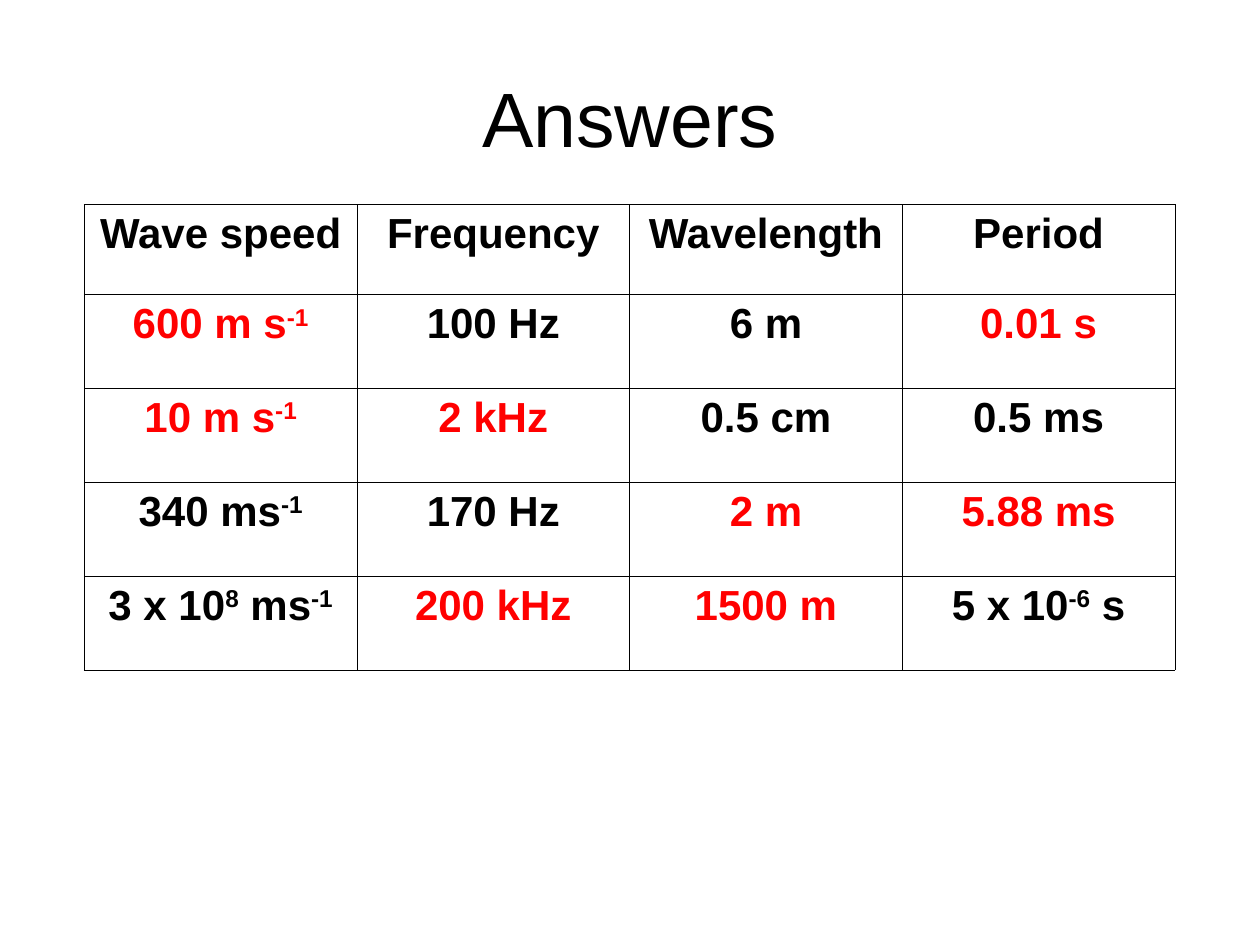
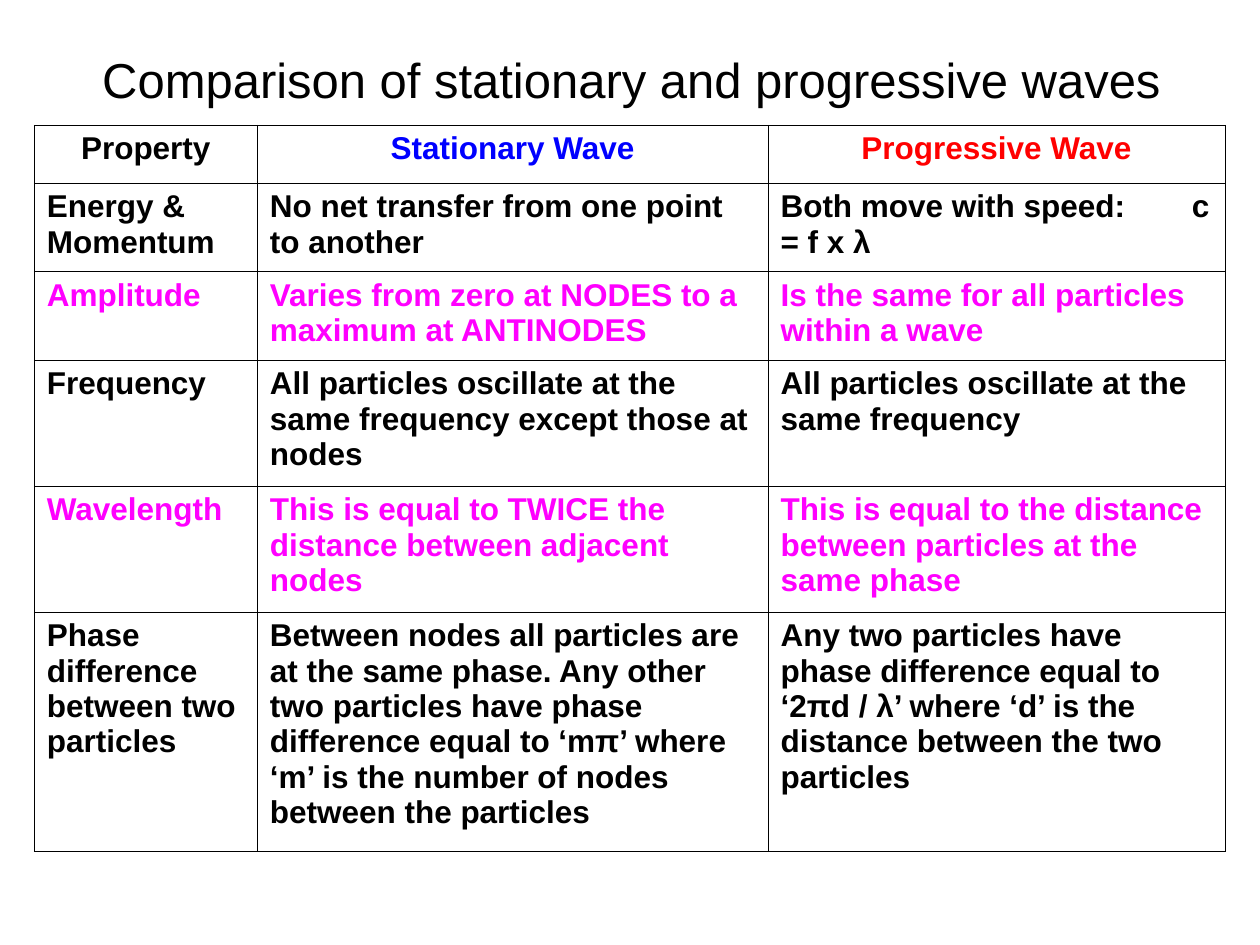
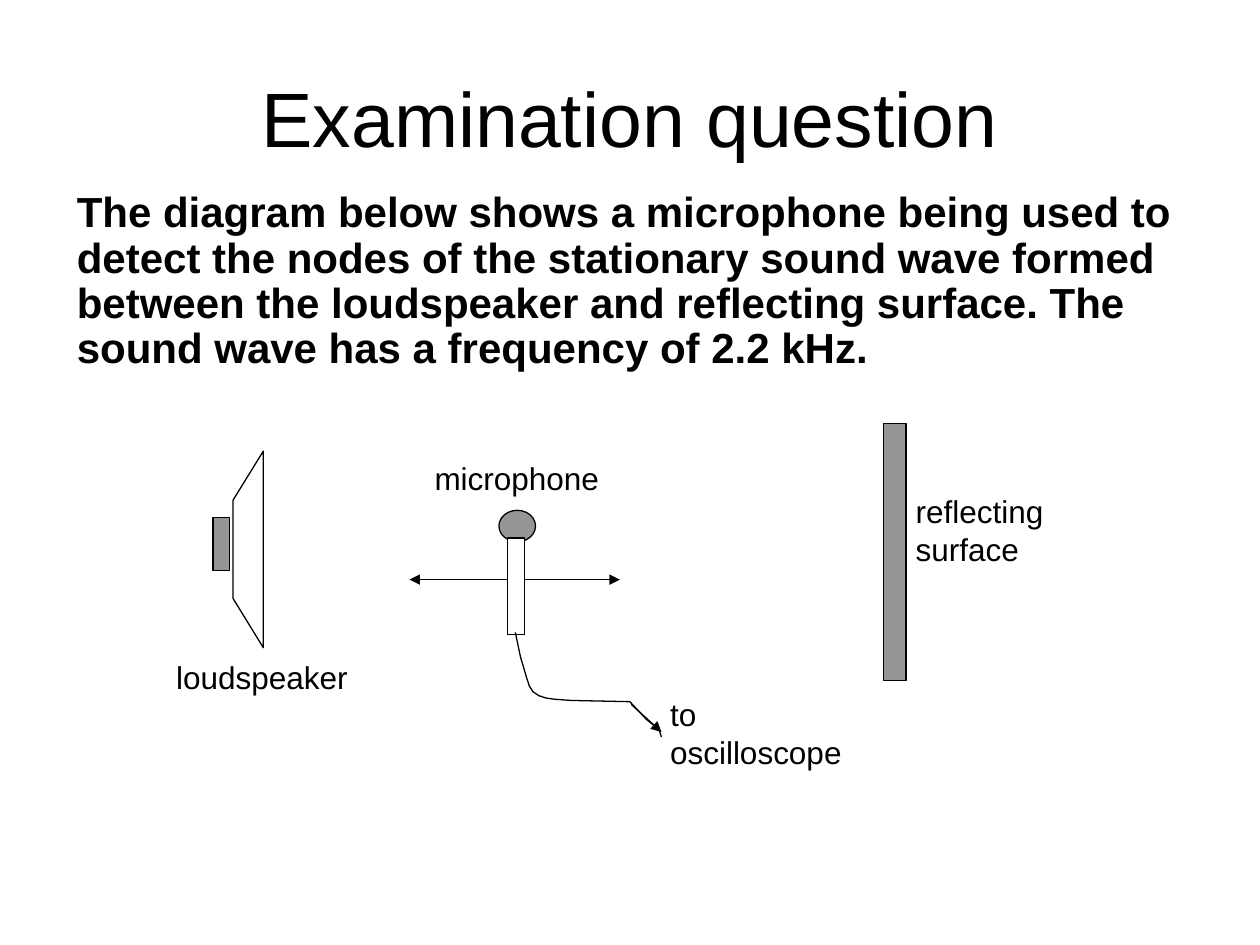
from dataclasses import dataclass
from typing import Any

from lxml.etree import SubElement
from pptx import Presentation
from pptx.dml.color import RGBColor
from pptx.enum.shapes import MSO_CONNECTOR as LINE, MSO_SHAPE as SHAPE
from pptx.enum.text import MSO_ANCHOR as ANCHOR, MSO_AUTO_SIZE as FIT, PP_ALIGN as ALIGN
from pptx.oxml.ns import qn
from pptx.util import Pt

HUES = {
    "ink": "000000", "paper": "FFFFFF", "grey": "969696",
    "red": "FF0000", "blue": "0000FF", "pink": "FF00FF",
}
FONT = "Arial"
TITLE = (36, 21.6, 648, 90)
THIN = 0.75

SUMS = [
    ["Wave speed", "Frequency", "Wavelength", "Period"],
    ["600 m s^-1", "100 Hz", "6 m", "0.01 s"],
    ["10 m s^-1", "2 kHz", "0.5 cm", "0.5 ms"],
    ["340 ms^-1", "170 Hz", "2 m", "5.88 ms"],
    ["3 x 10^8^ ms^-1", "200 kHz", "1500 m", "5 x 10^-6^ s"],
]
SOLVED = {(1, 0), (1, 3), (2, 0), (2, 1), (3, 2), (3, 3), (4, 1), (4, 2)}

WAVES = [
    ["Property", "Stationary Wave", "Progressive Wave"],
    ["Energy & Momentum", "No net transfer from one point to another",
     "Both move with speed:\tc = f x λ"],
    ["Amplitude", "Varies from zero at NODES to a maximum at ANTINODES",
     "Is the same for all particles within a wave"],
    ["Frequency",
     "All particles oscillate at the same frequency except those at nodes",
     "All particles oscillate at the same frequency"],
    ["Wavelength", "This is equal to TWICE the distance between adjacent nodes",
     "This is equal to the distance between particles at the same phase"],
    ["Phase difference between two particles",
     "Between nodes all particles are at the same phase. Any other two particles "
     "have phase difference equal to ‘mπ’ where ‘m’ is the number of nodes "
     "between the particles",
     "Any two particles have phase difference equal to ‘2πd / λ’ where ‘d’ is "
     "the distance between the two particles"],
]

TASK = ("The diagram below shows a microphone being used to detect the nodes of "
        "the stationary sound wave formed between the loudspeaker and reflecting "
        "surface. The sound wave has a frequency of 2.2 kHz.")


def tint(name):
    return RGBColor.from_string(HUES[name])


def write(para, text, size, hue="ink", bold=False):
    """Add text run by run; pieces between ^ marks are superscript."""
    for i, piece in enumerate(text.split("^")):
        if not piece:
            continue
        run = para.add_run()
        run.text = piece
        font = run.font
        font.name, font.size, font.bold = FONT, Pt(size), bold
        font.color.rgb = tint(hue)
        if i % 2:
            font._element.set("baseline", "30000")


def place(shape, box):
    shape.left, shape.top, shape.width, shape.height = map(Pt, box)


def add_title(slide, text, box=TITLE, size=44):
    title = slide.shapes.title
    place(title, box)
    frame = title.text_frame
    frame.auto_size = FIT.NONE
    frame.vertical_anchor = ANCHOR.MIDDLE
    para = frame.paragraphs[0]
    para.alignment = ALIGN.CENTER
    write(para, text, size)


def add_body(slide, text, box):
    body = slide.placeholders[1]
    place(body, box)
    frame = body.text_frame
    frame.auto_size = FIT.NONE
    para = frame.paragraphs[0]
    para.line_spacing, para.space_before = 0.9, Pt(0)
    props = para._p.get_or_add_pPr()
    props.set("marL", "0")
    props.set("indent", "0")
    SubElement(props, qn("a:buNone"))
    write(para, text, 24, bold=True)


def frame_cell(cell):
    props = cell._tc.get_or_add_tcPr()
    for side in ("lnL", "lnR", "lnT", "lnB"):
        line = SubElement(props, qn("a:" + side), w=str(Pt(0.45)))
        fill = SubElement(line, qn("a:solidFill"))
        SubElement(fill, qn("a:srgbClr"), val=HUES["ink"])
    cell.fill.background()


def add_grid(slide, data, spot, cols, rows, size, hue, centred):
    """Draw a ruled table; hue(row, col) and centred(row) style its cells."""
    box = (*spot, sum(cols), sum(rows))
    table = slide.shapes.add_table(len(rows), len(cols), *map(Pt, box)).table
    table.first_row = table.horz_banding = False
    for col, width in zip(table.columns, cols):
        col.width = Pt(width)
    for r, (row, high) in enumerate(zip(data, rows)):
        table.rows[r].height = Pt(high)
        for c, text in enumerate(row):
            cell = table.cell(r, c)
            frame_cell(cell)
            para = cell.text_frame.paragraphs[0]
            para.alignment = ALIGN.CENTER if centred(r) else ALIGN.LEFT
            if "\t" in text:
                tabs = SubElement(para._p.get_or_add_pPr(), qn("a:tabLst"))
                SubElement(tabs, qn("a:tab"), pos=str(Pt(235)), algn="l")
            write(para, text, size, hue(r, c), bold=True)


def style(shape, fill):
    shape.shadow.inherit = False
    if fill:
        shape.fill.solid()
        shape.fill.fore_color.rgb = tint(fill)
    else:
        shape.fill.background()
    shape.line.color.rgb = tint("ink")
    shape.line.width = Pt(THIN)


@dataclass
class Sketch:
    """Draws grouped shapes at offsets from one corner."""
    group: Any
    left: float
    top: float

    def at(self, x, y):
        return Pt(self.left + x), Pt(self.top + y)

    def block(self, kind, x, y, wide, high, fill):
        style(self.group.add_shape(kind, *self.at(x, y), Pt(wide), Pt(high)), fill)

    def trace(self, dots, fill=None, close=False):
        first, *rest = [self.at(*dot) for dot in dots]
        pen = self.group.build_freeform(*first)
        pen.add_line_segments(rest, close=close)
        style(pen.convert_to_shape(), fill)

    def arrow(self, start, end, both=False):
        link = self.group.add_connector(LINE.STRAIGHT, *self.at(*start), *self.at(*end))
        link.line.color.rgb = tint("ink")
        link.line.width = Pt(THIN)
        props = link._element.spPr
        stroke = props.find(qn("a:ln"))
        for tip in ("headEnd", "tailEnd") if both else ("tailEnd",):
            SubElement(stroke, qn("a:" + tip), type="triangle")
        SubElement(props, qn("a:effectLst"))

    def label(self, text, x, y, wide, high):
        box = self.group.add_textbox(*self.at(x, y), Pt(wide), Pt(high))
        box.text_frame.word_wrap = True
        write(box.text_frame.paragraphs[0], text, 18)


def draw_setup(slide, left, top):
    art = Sketch(slide.shapes.add_group_shape().shapes, left, top)
    art.arrow((144, 91.2), (264.2, 91.2), both=True)
    art.block(SHAPE.RECTANGLE, 31.7, 55.9, 9.4, 30.2, "grey")
    art.trace([(60.5, 17.8), (60.5, 130.1), (43.2, 102), (43.2, 45.8)],
              "paper", close=True)
    art.block(SHAPE.OVAL, 195.1, 51.6, 20.9, 18, "grey")
    art.block(SHAPE.RECTANGLE, 200.2, 67.4, 9.4, 55.4, "paper")
    art.trace([(204.5, 121.4), (207.5, 135.5), (211, 147.4), (212.5, 152),
               (214.6, 155.3), (218, 157.6), (222, 158.9), (226.8, 159.6),
               (236.2, 160.3), (270, 161), (279.4, 171.1), (286.6, 176.9),
               (288, 181.2)])
    art.arrow((270.7, 162.5), (288, 178.3))
    art.block(SHAPE.RECTANGLE, 414.7, 1.9, 13, 146.9, "grey")
    art.label("to oscilloscope", 285.8, 153.8, 130.3, 51.8)
    art.label("microphone", 151.2, 18.5, 118, 42.5)
    art.label("reflecting surface", 426.2, 37.9, 104.4, 86.4)
    art.label("loudspeaker", 3.6, 132.2, 113, 42.5)


def answers(slide):
    add_title(slide, "Answers")
    add_grid(slide, SUMS, (48.2, 116.8), [155.8] * 4, [51.4] + [53.7] * 4, 24,
             lambda r, c: "red" if (r, c) in SOLVED else "ink",
             lambda r: True)


def compare(slide):
    add_title(slide, "Comparison of stationary and progressive waves",
              (36.7, 20.2, 648, 49.7), 28)
    heads = ("ink", "blue", "red")
    add_grid(slide, WAVES, (19.6, 71.5), [127.5, 291.8, 261.2],
             [33.1, 50.6, 50.6, 72, 72, 137], 18,
             lambda r, c: heads[c] if r == 0 else ("pink", "ink")[r % 2],
             lambda r: r == 0)


def question(slide):
    add_title(slide, "Examination question")
    add_body(slide, TASK, (36.7, 105.8, 658.8, 115.9))
    draw_setup(slide, 90, 240)


def main():
    deck = Presentation()
    deck.slide_width, deck.slide_height = Pt(720), Pt(540)
    for layout, build in ((5, answers), (5, compare), (1, question)):
        build(deck.slides.add_slide(deck.slide_layouts[layout]))
    deck.save("out.pptx")


if __name__ == "__main__":
    main()
